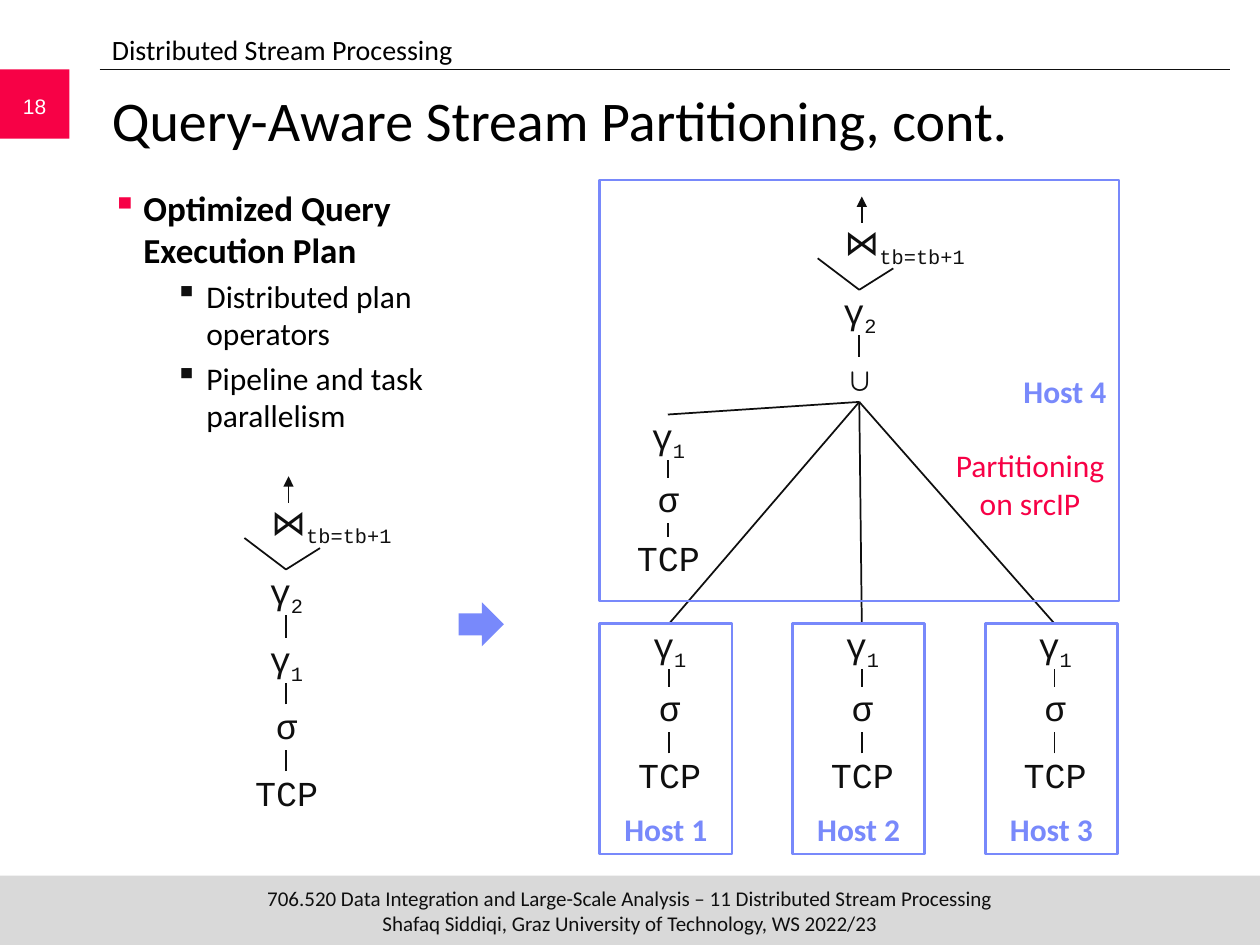
from itertools import pairwise

from lxml.etree import SubElement
from pptx import Presentation
from pptx.dml.color import RGBColor
from pptx.enum.shapes import MSO_CONNECTOR, MSO_SHAPE as Shape
from pptx.enum.text import MSO_ANCHOR as Anchor, PP_ALIGN as Align
from pptx.oxml.ns import qn
from pptx.util import Pt

PX = 9144  # 100 px to the inch
INK, BLACK, WHITE = "0F0F0F", "000000", "FFFFFF"
RED, BLUE, GREY = "F70146", "7889FB", "D9D9D9"
SANS, MONO = "Calibri", "Courier New"

HEADER = "Distributed Stream Processing"
TITLE = "Query-Aware Stream Partitioning, cont."
PAGE = "18"
FOOTER = [
    "706.520 Data Integration and Large-Scale Analysis – 11 Distributed Stream Processing",
    "Shafaq Siddiqi, Graz University of Technology, WS 2022/23",
]
# text, size, bold, indent, bullet colour
BULLETS = [
    ("Optimized Query \vExecution Plan", 20, True, 25, RED),
    ("Distributed plan\voperators", 18, False, 75, INK),
    ("Pipeline and task\vparallelism", 18, False, 75, INK),
]
PARTITIONING = "Partitioning on srcIP"
JOIN = ("⋈", "tb=tb+1")
GAMMA_1, GAMMA_2 = ("γ", "1"), ("γ", "2")
SIGMA, TCP, UNION = ("σ", ""), ("TCP", ""), ("∪", "")

# centre x, then operators with their top y
OPERATOR_HEIGHT = 36
HOST_CENTERS = [531 + 153 * i for i in range(3)]
HOST_TOP = 495
COLUMNS = [
    (227, [(GAMMA_2, 452), (GAMMA_1, 506), (SIGMA, 559), (TCP, 612)]),
    (682, [(GAMMA_2, 230), (UNION, 283)]),
    (530, [(GAMMA_1, 329), (SIGMA, 379), (TCP, 426)]),
] + [(x, [(GAMMA_1, HOST_TOP), (SIGMA, 545), (TCP, 598)]) for x in HOST_CENTERS]
JOIN_FEET = [(227, 452), (682, 230)]
UNION_FOOT = (682, 319)
FAN_ENDS = [(530, 329)] + [(x, HOST_TOP) for x in HOST_CENTERS]

presentation = Presentation()
presentation.slide_width, presentation.slide_height = 1000 * PX, 750 * PX
slide = presentation.slides.add_slide(presentation.slide_layouts[6])


def color(value):
    return RGBColor.from_string(value)


def scaled(*lengths):
    return [length * PX for length in lengths]


def add_run(paragraph, text, size, font=SANS, ink=INK, bold=False):
    paragraph.add_run().text = text
    run = paragraph.runs[-1]
    for name, value in {"size": Pt(size), "name": font, "bold": bold}.items():
        setattr(run.font, name, value)
    run.font.color.rgb = color(ink)
    return run


def format_frame(frame, insets=(10, 5, 10, 5), anchor=Anchor.TOP, wrap=True):
    sides = ("margin_left", "margin_top", "margin_right", "margin_bottom")
    values = dict(zip(sides, scaled(*insets)))
    values |= {"vertical_anchor": anchor, "word_wrap": wrap}
    for name, value in values.items():
        setattr(frame, name, value)


def add_text(box, lines, size, align=Align.LEFT, font=SANS, ink=INK, **layout):
    frame = slide.shapes.add_textbox(*scaled(*box)).text_frame
    format_frame(frame, **layout)
    for index, line in enumerate(lines):
        paragraph = frame.add_paragraph() if index else frame.paragraphs[0]
        paragraph.alignment = align
        add_run(paragraph, line, size, font, ink)


def add_box(box, fill=None, outline=None, kind=Shape.RECTANGLE):
    shape = slide.shapes.add_shape(kind, *scaled(*box))
    shape.shadow.inherit = False
    if fill:
        shape.fill.solid()
        shape.fill.fore_color.rgb = color(fill)
    else:
        shape.fill.background()
    if outline:
        shape.line.color.rgb = color(outline)
        shape.line.width = Pt(1.5)
    else:
        shape.line.fill.background()
    return shape


def add_host(box, label, align, anchor):
    frame = add_box(box, outline=BLUE).text_frame
    format_frame(frame, anchor=anchor)
    frame.paragraphs[0].alignment = align
    add_run(frame.paragraphs[0], label, 18, ink=BLUE, bold=True)


def add_line(start, end, width=1, arrow=False):
    line = slide.shapes.add_connector(MSO_CONNECTOR.STRAIGHT, *scaled(*start, *end))
    line.line.color.rgb = color(INK)
    line.line.width = Pt(width)
    if arrow:
        SubElement(line.line._get_or_add_ln(), qn("a:tailEnd"), type="triangle")
    SubElement(line._element.spPr, qn("a:effectLst"))


def add_operator(operator, center, top, width, symbol_font=MONO):
    """Write a plan operator: a symbol followed by its subscript."""
    box = scaled(center - width // 2, top, width, OPERATOR_HEIGHT)
    frame = slide.shapes.add_textbox(*box).text_frame
    format_frame(frame, insets=(10, 0, 10, 2), wrap=False)
    paragraph = frame.paragraphs[0]
    paragraph.alignment = Align.CENTER
    symbol, subscript = operator
    add_run(paragraph, symbol, 20, symbol_font)
    if subscript:
        run = add_run(paragraph, subscript, 20, MONO)
        run._r.get_or_add_rPr().set("baseline", "-25000")


def add_column(center, operators):
    for operator, top in operators:
        add_operator(operator, center, top, 73)
    for (_, upper), (_, lower) in pairwise(operators):
        add_line((center, lower), (center, upper + OPERATOR_HEIGHT))


def add_join(x, y):
    """Draw the join whose two branches meet at the foot (x, y)."""
    add_line((x + 2, y - 53), (x + 2, y - 74), arrow=True)
    add_operator(JOIN, x + 36, y - 55, 122, SANS)
    add_line((x - 33, y - 25), (x, y))
    add_line((x, y), (x + 27, y - 17))


def add_bullets(box):
    frame = slide.shapes.add_textbox(*scaled(*box)).text_frame
    format_frame(frame)
    for index, (text, size, bold, indent, bullet_ink) in enumerate(BULLETS):
        paragraph = frame.add_paragraph() if index else frame.paragraphs[0]
        if index:
            paragraph.space_before = Pt(size * 0.2)
        properties = paragraph._p.get_or_add_pPr()
        properties.set("marL", str(indent * PX))
        properties.set("indent", str(-25 * PX))
        bullet_color = SubElement(properties, qn("a:buClr"))
        SubElement(bullet_color, qn("a:srgbClr"), val=bullet_ink)
        SubElement(properties, qn("a:buChar"), char="▪")
        first, second = text.split("\v")
        add_run(paragraph, first, size, ink=BLACK, bold=bold)
        paragraph.add_line_break()
        add_run(paragraph, second, size, ink=BLACK, bold=bold)


# Page frame
footer_box = (0, 695, 1000, 55)
add_box(footer_box, fill=GREY)
add_line((79, 55), (976, 55), width=0.5)
add_box((0, 55, 55, 55), fill=RED)
add_text((0, 64, 55, 40), [PAGE], 12, Align.CENTER, "Arial", WHITE, anchor=Anchor.MIDDLE)
add_text(footer_box, FOOTER, 12, Align.CENTER, insets=(0, 0, 0, 0), anchor=Anchor.MIDDLE)
add_text((79, 63, 896, 83), [TITLE], 32, ink=BLACK)
add_text((79, 21, 900, 36), [HEADER], 16, ink=BLACK)
add_bullets((79, 143, 896, 540))

# Query plans
add_box((364, 478, 36, 35), fill=BLUE, kind=Shape.RIGHT_ARROW)
for end in FAN_ENDS:
    add_line(end, UNION_FOOT)
for number, center in enumerate(HOST_CENTERS, 1):
    add_host((center - 55, HOST_TOP, 105, 183), f"Host {number}", Align.CENTER, Anchor.BOTTOM)
add_host((476, 143, 412, 334), "Host 4", Align.RIGHT, Anchor.MIDDLE)
for foot in JOIN_FEET:
    add_join(*foot)
for column in COLUMNS:
    add_column(*column)
add_text((754, 349, 127, 71), [PARTITIONING], 18, Align.CENTER, ink=RED, insets=(0, 5, 0, 5))

presentation.save("out.pptx")
